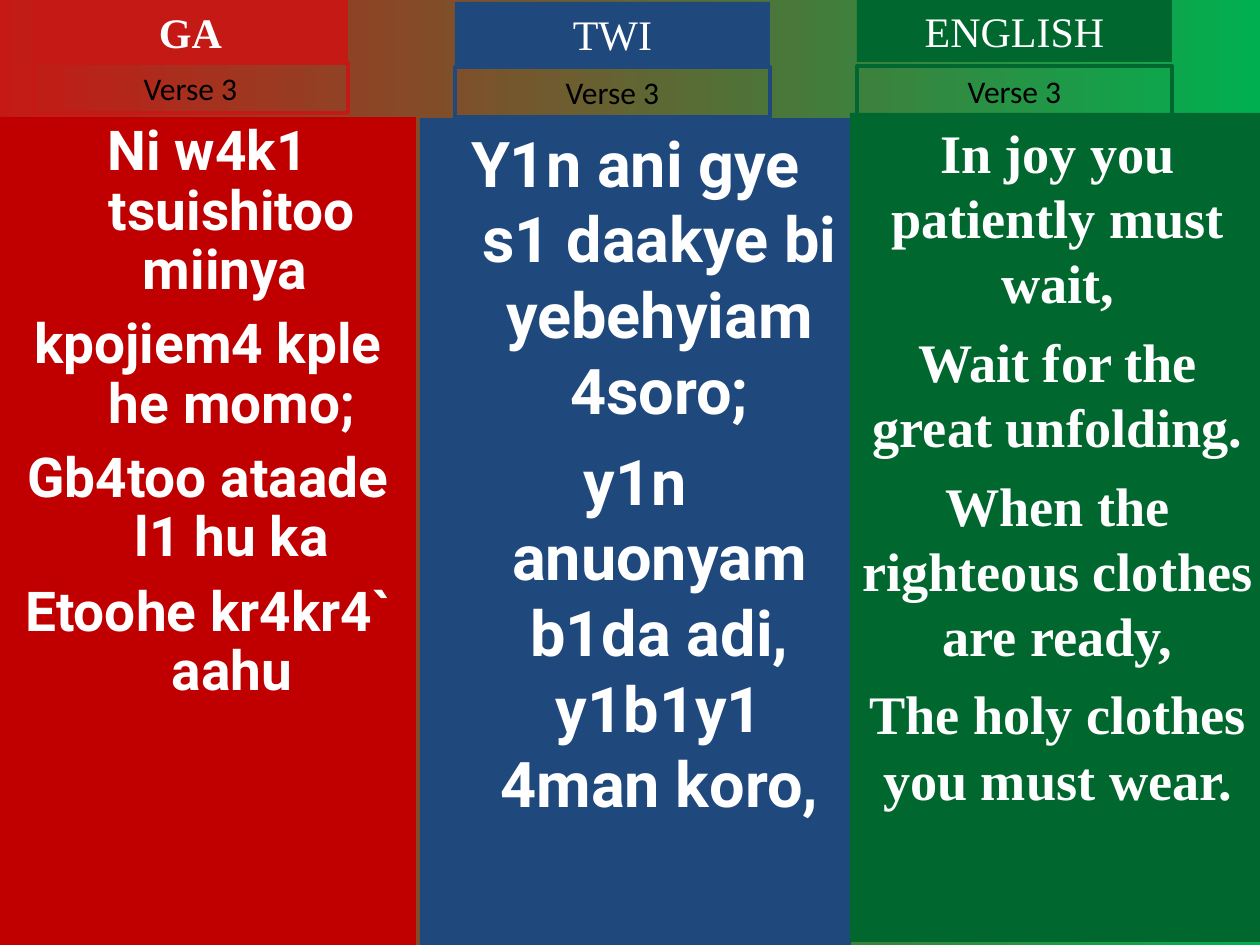
from pptx import Presentation
from pptx.dml.color import RGBColor as Rgb
from pptx.enum.shapes import MSO_SHAPE as Preset
from pptx.enum.text import MSO_ANCHOR as Anchor, MSO_AUTO_SIZE as AutoSize, PP_ALIGN as Align
from pptx.util import Pt

PX = 914400 / 126
COLORS = {
    "scarlet": "C51915", "red": "C00000", "blue": "1F497D", "green": "00682F",
    "light_green": "00B050", "white": "FFFFFF", "black": "000000",
}
LABEL_WIDTH, TITLE_HEIGHT, VERSE_HEIGHT = 315, 63, 50
HANGING = 48

COLUMNS = [
    {
        "box": (0, 117, 416, 828), "fill": "red", "label_fill": "scarlet",
        "title": "GA", "title_bold": True, "title_at": (33, 0), "verse_at": (33, -54),
        "font": "Roboto", "size": 31.4, "before": 8.5, "spacing": 0.9, "hanging": HANGING,
        "lines": ["Ni w4k1 tsuishitoo miinya ", "kpojiem4 kple he momo;",
                  "Gb4too ataade l1 hu ka", "Etoohe kr4kr4` aahu"],
    },
    {
        "box": (420, 118, 431, 827), "fill": "blue", "label_fill": "blue",
        "title": "TWI", "title_bold": False, "title_at": (35, 2), "verse_at": (35, -51),
        "font": "Roboto", "size": 36, "before": 9, "spacing": None, "hanging": HANGING,
        "lines": ["Y1n ani gye s1 daakye bi yebehyiam 4soro;",
                  "y1n anuonyam b1da adi, y1b1y1 4man koro,"],
    },
    {
        "box": (850, 113, 415, 829), "fill": "green", "label_fill": "green",
        "title": "ENGLISH", "title_bold": False, "title_at": (7, -1), "verse_at": (7, -47),
        "font": "Times New Roman", "size": 31, "before": 7.7, "spacing": None, "hanging": 0,
        "lines": ["In joy you patiently must wait,", "Wait for the great unfolding.",
                  "When the righteous clothes are ready,", "The holy clothes you must wear."],
    },
]


def px(length):
    """Turn a length in px into EMU."""
    return round(length * PX)


def color(name):
    """Look up a named colour."""
    return Rgb.from_string(COLORS[name])


def add_panel(slide, box, fill=None, line=None):
    """Add a rectangle with top-anchored, wrapping text."""
    shape = slide.shapes.add_shape(Preset.RECTANGLE, *map(px, box))
    shape.shadow.inherit = False
    if fill:
        shape.fill.solid()
        shape.fill.fore_color.rgb = color(fill)
    else:
        shape.fill.background()
    if line:
        shape.line.color.rgb = color(line)
        shape.line.width = Pt(2.25)
    else:
        shape.line.fill.background()
    shape.text_frame.word_wrap = True
    shape.text_frame.vertical_anchor = Anchor.TOP
    return shape


def add_text(paragraph, text, font, size, ink, bold=False):
    """Add one centred run to a paragraph."""
    paragraph.alignment = Align.CENTER
    run = paragraph.add_run()
    run.text = text
    run.font.name = font
    run.font.size = Pt(size)
    run.font.bold = bold
    run.font.color.rgb = color(ink)


def add_label(slide, box, text, font, size, ink, bold=False, fill=None, line=None):
    """Add a one-line label that fits its text."""
    frame = add_panel(slide, box, fill, line).text_frame
    frame.auto_size = AutoSize.SHAPE_TO_FIT_TEXT
    add_text(frame.paragraphs[0], text, font, size, ink, bold)


def add_lyrics(slide, column):
    """Fill a column's box with its verse lines."""
    frame = add_panel(slide, column["box"], column["fill"]).text_frame
    for index, line in enumerate(column["lines"]):
        paragraph = frame.add_paragraph() if index else frame.paragraphs[0]
        if index:
            paragraph.space_before = Pt(column["before"])
        paragraph.line_spacing = column["spacing"]
        if column["hanging"]:
            properties = paragraph._p.get_or_add_pPr()
            properties.set("marL", str(px(column["hanging"])))
            properties.set("indent", str(-px(column["hanging"])))
        add_text(paragraph, line, column["font"], column["size"], "white", True)


def add_column(slide, column):
    """Add one language: lyrics with a title and a verse label above."""
    left, top = column["box"][:2]
    title_left, title_top = column["title_at"]
    verse_left, verse_top = column["verse_at"]
    add_lyrics(slide, column)
    add_label(slide, (left + title_left, title_top, LABEL_WIDTH, TITLE_HEIGHT),
              column["title"], "Times New Roman", 24, "white",
              bold=column["title_bold"], fill=column["label_fill"])
    add_label(slide, (left + verse_left, top + verse_top, LABEL_WIDTH, VERSE_HEIGHT),
              "Verse 3", "Calibri", 18, "black", line=column["label_fill"])


def paint_background(slide):
    """Give the slide a left-to-right gradient."""
    fill = slide.background.fill
    fill.gradient()
    fill.gradient_angle = 0
    for stop, name in zip(fill.gradient_stops, ("scarlet", "light_green")):
        stop.color.rgb = color(name)


def main():
    """Build and save the slide."""
    presentation = Presentation()
    presentation.slide_width, presentation.slide_height = px(1260), px(945)
    slide = presentation.slides.add_slide(presentation.slide_layouts[6])
    paint_background(slide)
    for column in COLUMNS:
        add_column(slide, column)
    presentation.save("out.pptx")


if __name__ == "__main__":
    main()
